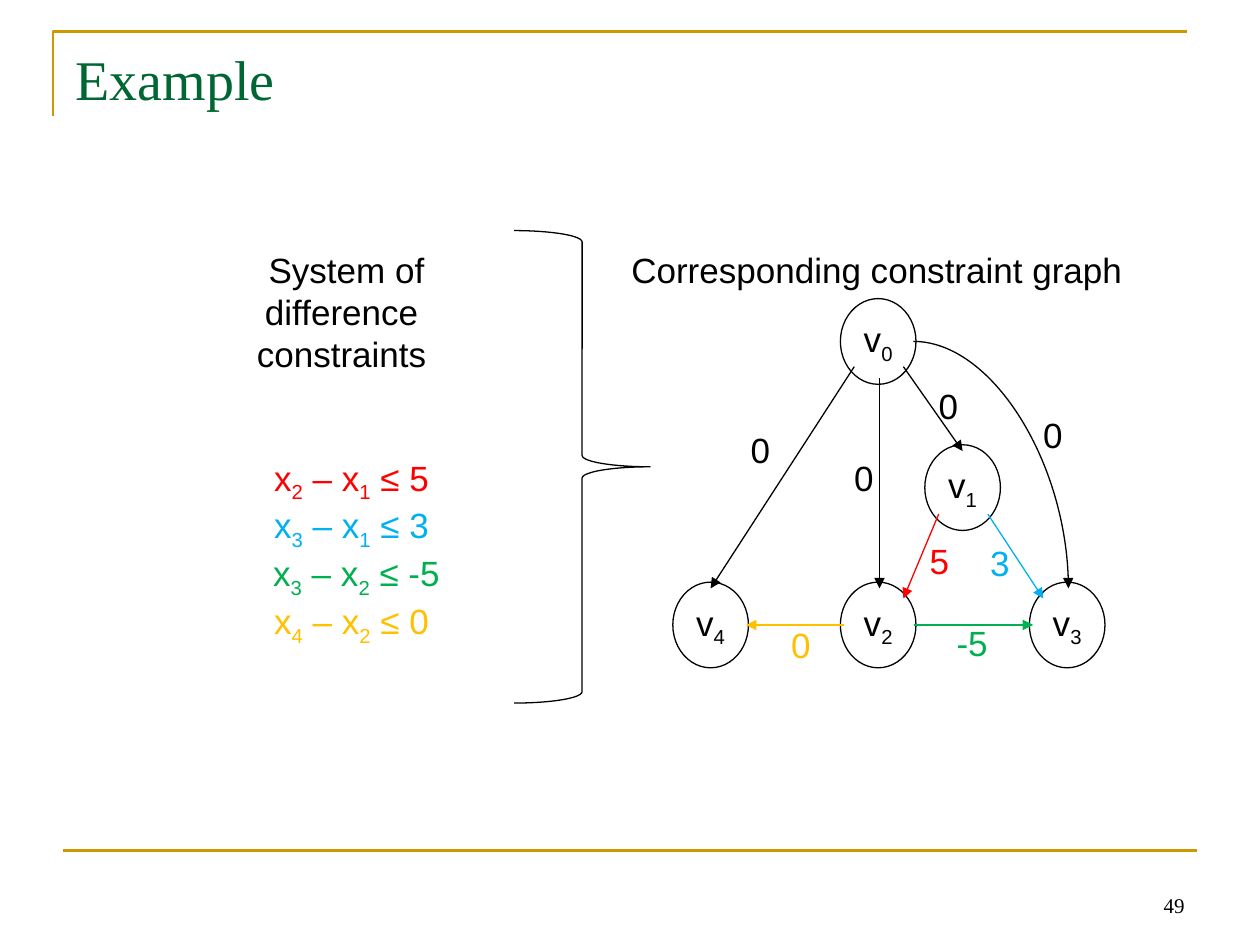
from typing import NamedTuple

import pptx
import pptx.dml.color
import pptx.enum.shapes
import pptx.enum.text
import pptx.oxml.ns
import pptx.util
from lxml import etree

Inches = pptx.util.Inches
Pt = pptx.util.Pt
SHAPE = pptx.enum.shapes.MSO_SHAPE
LINK = pptx.enum.shapes.MSO_CONNECTOR
ALIGN = pptx.enum.text.PP_ALIGN
ANCHOR = pptx.enum.text.MSO_ANCHOR

BLACK, RED, BLUE = "000000", "FF0000", "00B0F0"
GREEN, YELLOW, GOLD, TITLE_GREEN = "00B050", "FFC000", "CC9900", "006633"
NODE_W, NODE_H = 0.6, 0.68
LABEL_H = 0.44


class Node(NamedTuple):
    name: str
    x: float
    y: float


class Edge(NamedTuple):
    start: tuple[float, float]
    end: tuple[float, float]
    color: str = BLACK
    kind: LINK = LINK.STRAIGHT


class Label(NamedTuple):
    text: str
    left: float
    top: float
    color: str = BLACK
    width: float = 0.35


NODES = [
    Node("v_1", 7.64, 3.87),
    Node("v_0", 6.97, 2.71),
    Node("v_4", 5.64, 4.96),
    Node("v_2", 6.97, 4.96),
    Node("v_3", 8.47, 4.96),
]
EDGES = [
    Edge((7.17, 2.91), (7.64, 3.58)),
    Edge((6.98, 3), (6.98, 4.67)),
    Edge((6.78, 2.91), (5.64, 4.67)),
    Edge((7.25, 4.96), (8.2, 4.96), GREEN),
    Edge((6.7, 4.96), (5.92, 4.96), YELLOW),
    Edge((7.45, 4.08), (7.17, 4.75), RED),
    Edge((7.84, 4.08), (8.28, 4.75), BLUE),
    Edge((7.25, 2.71), (8.48, 4.67), BLACK, LINK.CURVE),
]
LABELS = [
    Label("0", 5.86, 3.35),
    Label("0", 6.68, 3.57),
    Label("0", 7.35, 3),
    Label("0", 8.18, 3.23),
    Label("5", 7.28, 4.23, RED),
    Label("3", 7.76, 4.25, BLUE),
    Label("-5", 7.49, 4.88, GREEN, 0.45),
    Label("0", 6.18, 4.9, YELLOW),
    Label("Corresponding constraint graph", 4.91, 1.92, width=4.1),
]
CONSTRAINTS = [
    ("x_2 – x_1 ≤ 5", RED),
    ("x_3 – x_1 ≤ 3", BLUE),
    (" x_3 – x_2 ≤ -5", GREEN),
    ("x_4 – x_2 ≤ 0", YELLOW),
]


def rgb(color: str) -> pptx.dml.color.RGBColor:
    return pptx.dml.color.RGBColor.from_string(color)


def add_run(p, text: str, size: float, font: str, color: str, sub: bool = False) -> None:
    r = p.add_run()
    r.text = text
    r.font.size = Pt(size)
    r.font.name = font
    r.font.color.rgb = rgb(color)
    if sub:
        r._r.get_or_add_rPr().set("baseline", "-25000")


def write(tf, lines, *, size=20, font="Arial", color=BLACK, align=ALIGN.CENTER,
          anchor=ANCHOR.TOP, wrap=False) -> None:
    """Write (text, color) lines; the digit after an underscore is a subscript."""
    tf.word_wrap = wrap
    tf.vertical_anchor = anchor
    if isinstance(lines, str):
        lines = [(lines, color)]
    for i, (text, line_color) in enumerate(lines):
        p = tf.add_paragraph() if i else tf.paragraphs[0]
        p.alignment = align
        first, *rest = text.split("_")
        add_run(p, first, size, font, line_color)
        for part in rest:
            add_run(p, part[0], size, font, line_color, sub=True)
            if part[1:]:
                add_run(p, part[1:], size, font, line_color)


def add_text(s, lines, left: float, top: float, width: float, height: float, **fmt) -> None:
    sp = s.shapes.add_textbox(Inches(left), Inches(top), Inches(width), Inches(height))
    write(sp.text_frame, lines, **fmt)


def outline(sp, color: str = BLACK, width: float = 0.75) -> None:
    sp.shadow.inherit = False
    sp.fill.background()
    sp.line.color.rgb = rgb(color)
    sp.line.width = Pt(width)


def add_line(s, edge: Edge, width: float = 0.75, arrow: bool = True) -> None:
    points = [Inches(v) for v in (*edge.start, *edge.end)]
    cxn = s.shapes.add_connector(edge.kind, *points)
    cxn.line.color.rgb = rgb(edge.color)
    cxn.line.width = Pt(width)
    qn = pptx.oxml.ns.qn
    props = cxn._element.spPr
    if arrow:
        etree.SubElement(cxn.line._get_or_add_ln(), qn("a:tailEnd"), type="triangle")
    if edge.kind == LINK.CURVE:
        props.find(qn("a:prstGeom")).set("prst", "curvedConnector2")
    etree.SubElement(props, qn("a:effectLst"))


def add_node(s, node: Node) -> None:
    sp = s.shapes.add_shape(SHAPE.OVAL, Inches(node.x - NODE_W / 2),
                            Inches(node.y - NODE_H / 2), Inches(NODE_W), Inches(NODE_H))
    outline(sp)
    write(sp.text_frame, node.name, anchor=ANCHOR.MIDDLE)


def add_frame(s) -> None:
    fb = s.shapes.build_freeform(Inches(0.42), Inches(0.92))
    fb.add_line_segments([(Inches(0.42), Inches(0.25)), (Inches(9.42), Inches(0.25))],
                         close=False)
    outline(fb.convert_to_shape(), GOLD, 1.5)
    add_line(s, Edge((0.5, 6.75), (9.5, 6.75), GOLD), width=1.5, arrow=False)


def add_title(s, text: str) -> None:
    sp = s.shapes.title
    sp.left, sp.top, sp.width, sp.height = map(Inches, (0.5, 0.3, 9, 1.25))
    write(sp.text_frame, text, size=32, font="Times New Roman", color=TITLE_GREEN,
          align=ALIGN.LEFT, wrap=True)


def main() -> None:
    prs = pptx.Presentation()
    prs.slide_width, prs.slide_height = Inches(10), Inches(7.5)
    s = prs.slides.add_slide(prs.slide_layouts[5])
    add_frame(s)
    add_title(s, "Example")
    add_text(s, "49", 7.17, 6.83, 2.33, 0.5, size=12, font="Times New Roman",
             align=ALIGN.RIGHT, anchor=ANCHOR.BOTTOM, wrap=True)
    add_text(s, CONSTRAINTS, 1.75, 3.57, 2.08, 1.62, wrap=True)
    heading = ["System of", "difference ", "constraints "]
    add_text(s, [(text, BLACK) for text in heading], 1.94, 1.92, 1.62, 1.1)
    for node in NODES:
        add_node(s, node)
    for edge in EDGES:
        add_line(s, edge)
    for label in LABELS:
        add_text(s, label.text, label.left, label.top, label.width, LABEL_H,
                 color=label.color)
    brace = s.shapes.add_shape(SHAPE.RIGHT_BRACE, Inches(4.08), Inches(1.83),
                               Inches(1.08), Inches(3.75))
    outline(brace)
    prs.save("out.pptx")


if __name__ == "__main__":
    main()
